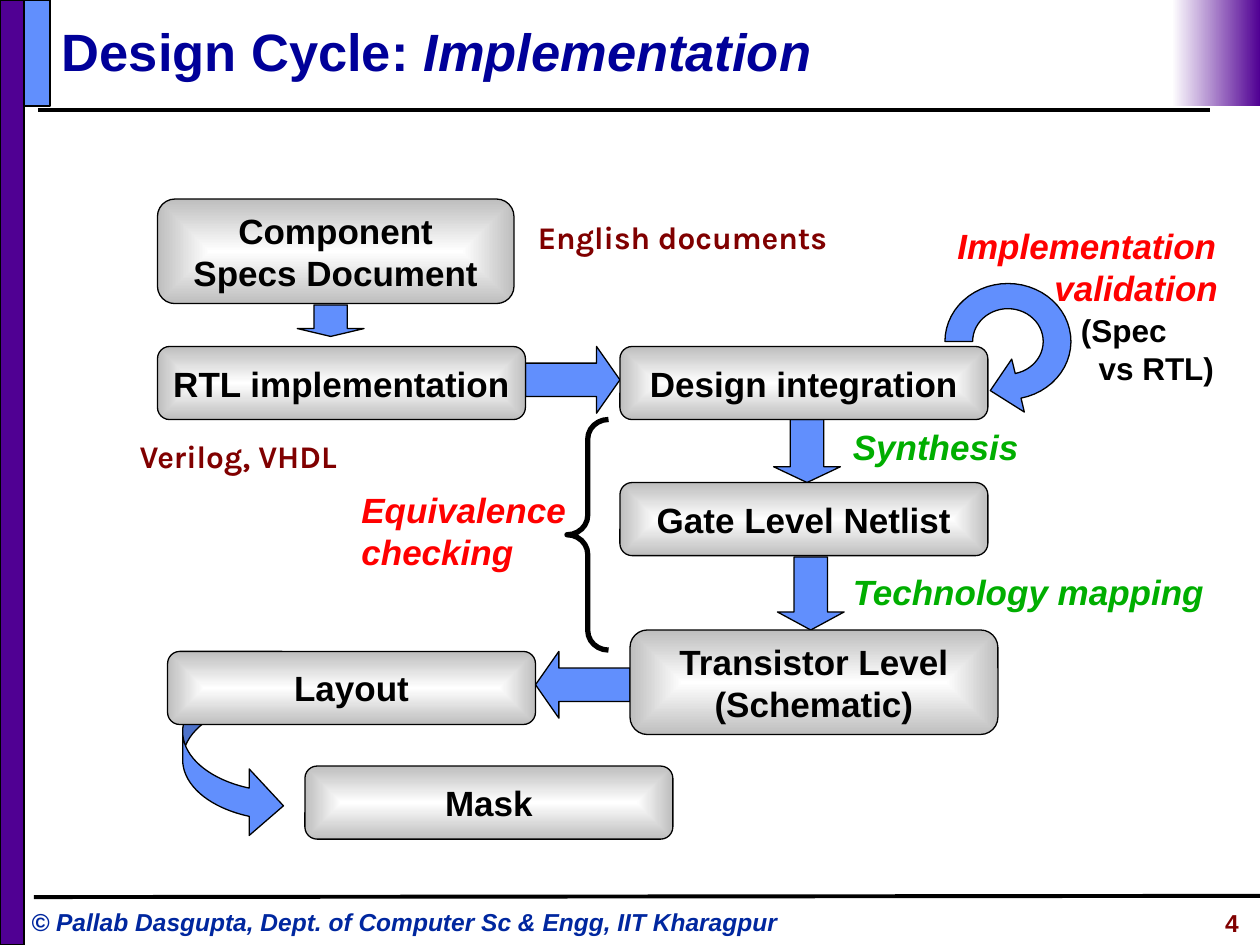
from math import cos, radians, sin

from lxml.etree import SubElement
from pptx import Presentation
from pptx.dml.color import RGBColor
from pptx.enum.shapes import MSO_CONNECTOR, MSO_SHAPE as Shape
from pptx.enum.text import MSO_ANCHOR as Anchor, PP_ALIGN as Align
from pptx.oxml.ns import qn
from pptx.util import Inches, Pt

BLACK = RGBColor(0x00, 0x00, 0x00)
WHITE = RGBColor(0xFF, 0xFF, 0xFF)
GRAY = RGBColor(0xBE, 0xBE, 0xBE)
PURPLE = RGBColor(0x50, 0x00, 0x93)
BLUE = RGBColor(0x61, 0x8F, 0xFD)
NAVY = RGBColor(0x00, 0x00, 0x99)
FOOTER_BLUE = RGBColor(0x00, 0x27, 0x9F)
MAROON = RGBColor(0x80, 0x00, 0x00)
GREEN = RGBColor(0x00, 0xAE, 0x00)
RED = RGBColor(0xFF, 0x00, 0x00)


def write(shape, text, size, color, font="Arial", italic=False, align=Align.LEFT):
    frame = shape.text_frame
    frame.text = text
    for para in frame.paragraphs:
        para.alignment = align
        for span in para.runs:
            span.font.name = font
            span.font.size = Pt(size)
            span.font.bold = True
            span.font.italic = italic
            span.font.color.rgb = color


def add_label(page, place, text, size, color, **style):
    box = page.shapes.add_textbox(*map(Inches, place))
    box.text_frame.word_wrap = True
    write(box, text, size, color, **style)
    return box


def indent(para, distance):
    para._p.get_or_add_pPr().set("marL", str(Inches(distance)))


def add_rule(page, start, end):
    rule = page.shapes.add_connector(
        MSO_CONNECTOR.STRAIGHT, *map(Inches, start + end))
    rule.line.color.rgb = BLACK
    rule.line.width = Pt(2.25)
    SubElement(rule._element.spPr, qn("a:effectLst"))


def outline(shape, width):
    shape.shadow.inherit = False
    shape.line.color.rgb = BLACK
    shape.line.width = Pt(width)


def add_solid(page, kind, place, color, width=0.75, adjust=()):
    shape = page.shapes.add_shape(kind, *map(Inches, place))
    for index, value in enumerate(adjust):
        shape.adjustments[index] = value
    shape.fill.solid()
    shape.fill.fore_color.rgb = color
    outline(shape, width)
    return shape


def set_gradient(shape, first, last, angle=0):
    shape.fill.gradient()
    shape.fill.gradient_angle = angle
    for stop, color, position in zip(shape.fill.gradient_stops, (first, last), (0, 1)):
        stop.color.rgb = color
        stop.position = position


def add_stage(page, place, text):
    """Rounded box, shaded from a white centre to gray edges."""
    stage = page.shapes.add_shape(Shape.ROUNDED_RECTANGLE, *map(Inches, place))
    outline(stage, 0.75)
    set_gradient(stage, WHITE, GRAY)
    gradient = stage._element.spPr.find(qn("a:gradFill"))
    gradient.remove(gradient.find(qn("a:lin")))
    path = SubElement(gradient, qn("a:path"), {"path": "rect"})
    SubElement(path, qn("a:fillToRect"), dict.fromkeys("ltrb", "50000"))
    stage.text_frame.word_wrap = False
    stage.text_frame.vertical_anchor = Anchor.MIDDLE
    write(stage, text, 20, BLACK, align=Align.CENTER)


def arc(center, radii, start, end, steps=40):
    angles = [radians(start + (end - start) * i / steps) for i in range(steps + 1)]
    return [(center[0] + radii[0] * cos(a), center[1] + radii[1] * sin(a))
            for a in angles]


def add_loop_arrow(page):
    """Circular arrow that returns to the design integration stage."""
    center = (8, 2.71)
    points = arc(center, (0.5, 0.46), 180, 438)
    points += [(8.13, 3.27), (7.86, 3.1), (8.03, 2.85)]
    points += arc(center, (0.28, 0.26), 438, 180)
    points = [(Inches(x), Inches(y)) for x, y in points]
    builder = page.shapes.build_freeform(*points[0])
    builder.add_line_segments(points[1:], close=True)
    loop = builder.convert_to_shape()
    loop.fill.solid()
    loop.fill.fore_color.rgb = BLUE
    outline(loop, 0.75)


def add_frame(page):
    # Header, side bar and footer
    add_rule(page, (0.3, 0.87), (9.6, 0.87))
    add_label(page, (0.15, 7.15, 6.37, 0.34),
              "© Pallab Dasgupta, Dept. of Computer Sc & Engg, IIT Kharagpur",
              14, FOOTER_BLUE, italic=True)
    add_solid(page, Shape.RECTANGLE, (0, 0, 0.19, 7.5), PURPLE, 1)
    add_rule(page, (0.27, 7.12), (10, 7.11))
    add_solid(page, Shape.RECTANGLE, (0.19, 0, 0.21, 0.84), BLUE, 1)
    fade = page.shapes.add_shape(
        Shape.RECTANGLE, *map(Inches, (9.3, 0, 0.7, 0.84)))
    fade.shadow.inherit = False
    fade.line.fill.background()
    set_gradient(fade, PURPLE, WHITE, 180)
    add_label(page, (8.18, 7.16, 1.75, 0.35), "4", 14, MAROON, align=Align.RIGHT)


def add_title(page):
    title = page.shapes.title
    title.left, title.top, title.width, title.height = map(
        Inches, (0.39, 0.1, 9.1, 0.61))
    title.text_frame.vertical_anchor = Anchor.MIDDLE
    write(title, "Design Cycle: ", 30, NAVY)
    emphasis = title.text_frame.paragraphs[0].add_run()
    emphasis.text = "Implementation"
    font = emphasis.font
    font.name, font.size, font.bold, font.italic = "Arial", Pt(30), True, True
    font.color.rgb = NAVY


def add_flow(page):
    # Arrows between stages
    for kind, place, head in (
            (Shape.DOWN_ARROW, (2.36, 2.42, 0.53, 0.25), 0.25),
            (Shape.DOWN_ARROW, (6.14, 3.33, 0.53, 0.5), 0.25),
            (Shape.DOWN_ARROW, (6.17, 4.42, 0.53, 0.58), 0.27),
            (Shape.RIGHT_ARROW, (4.17, 2.75, 0.75, 0.53), 0.35),
            (Shape.LEFT_ARROW, (4.25, 5.17, 0.75, 0.53), 0.35)):
        add_solid(page, kind, place, BLUE, adjust=(0.5, head))
    add_solid(page, Shape.CURVED_RIGHT_ARROW, (1.45, 5.33, 0.8, 1.33), BLUE,
              adjust=(0.28, 0.66, 0.34))
    add_loop_arrow(page)

    # Stages
    for place, text in (
            ((1.25, 1.58, 2.83, 0.83), "Component\nSpecs Document"),
            ((1.25, 2.75, 2.92, 0.58), "RTL implementation"),
            ((4.92, 2.75, 2.92, 0.58), "Design integration"),
            ((4.92, 3.83, 2.92, 0.58), "Gate Level Netlist"),
            ((5, 5, 2.92, 0.83), "Transistor Level\n(Schematic)"),
            ((1.33, 5.17, 2.92, 0.58), "Layout"),
            ((2.42, 6.08, 2.92, 0.58), "Mask")):
        add_stage(page, place, text)

    # Brace over the synthesis steps
    brace = page.shapes.add_shape(
        Shape.LEFT_BRACE, *map(Inches, (4.5, 3.33, 0.33, 1.83)))
    brace.adjustments[0] = 0.47
    brace.fill.background()
    outline(brace, 3)


def add_notes_on_flow(page):
    # Input languages
    add_label(page, (1.01, 3.42, 2, 0.4), "Verilog, VHDL", 18, MAROON, font="Karla")
    add_label(page, (4.17, 1.68, 2.7, 0.4), "English documents", 18, MAROON,
              font="Karla")
    # Steps and checks
    add_label(page, (6.67, 3.33, 1.7, 0.44), "Synthesis", 20, GREEN, italic=True)
    add_label(page, (6.67, 4.48, 3.2, 0.44), "Technology mapping", 20, GREEN,
              italic=True)
    add_label(page, (2.77, 3.83, 2, 0.77), "Equivalence\nchecking", 20, RED,
              italic=True)
    validation = add_label(page, (7.5, 1.73, 2.4, 0.77),
                           "Implementation\nvalidation", 20, RED, italic=True)
    indent(validation.text_frame.paragraphs[1], 0.77)
    scope = add_label(page, (8.48, 2.42, 1.35, 0.7), "(Spec\nvs RTL)", 18, BLACK)
    indent(scope.text_frame.paragraphs[1], 0.14)


def main():
    deck = Presentation()
    deck.slide_width, deck.slide_height = Inches(10), Inches(7.5)
    page = deck.slides.add_slide(deck.slide_layouts[5])
    add_frame(page)
    add_title(page)
    add_flow(page)
    add_notes_on_flow(page)
    deck.save("out.pptx")


if __name__ == "__main__":
    main()
